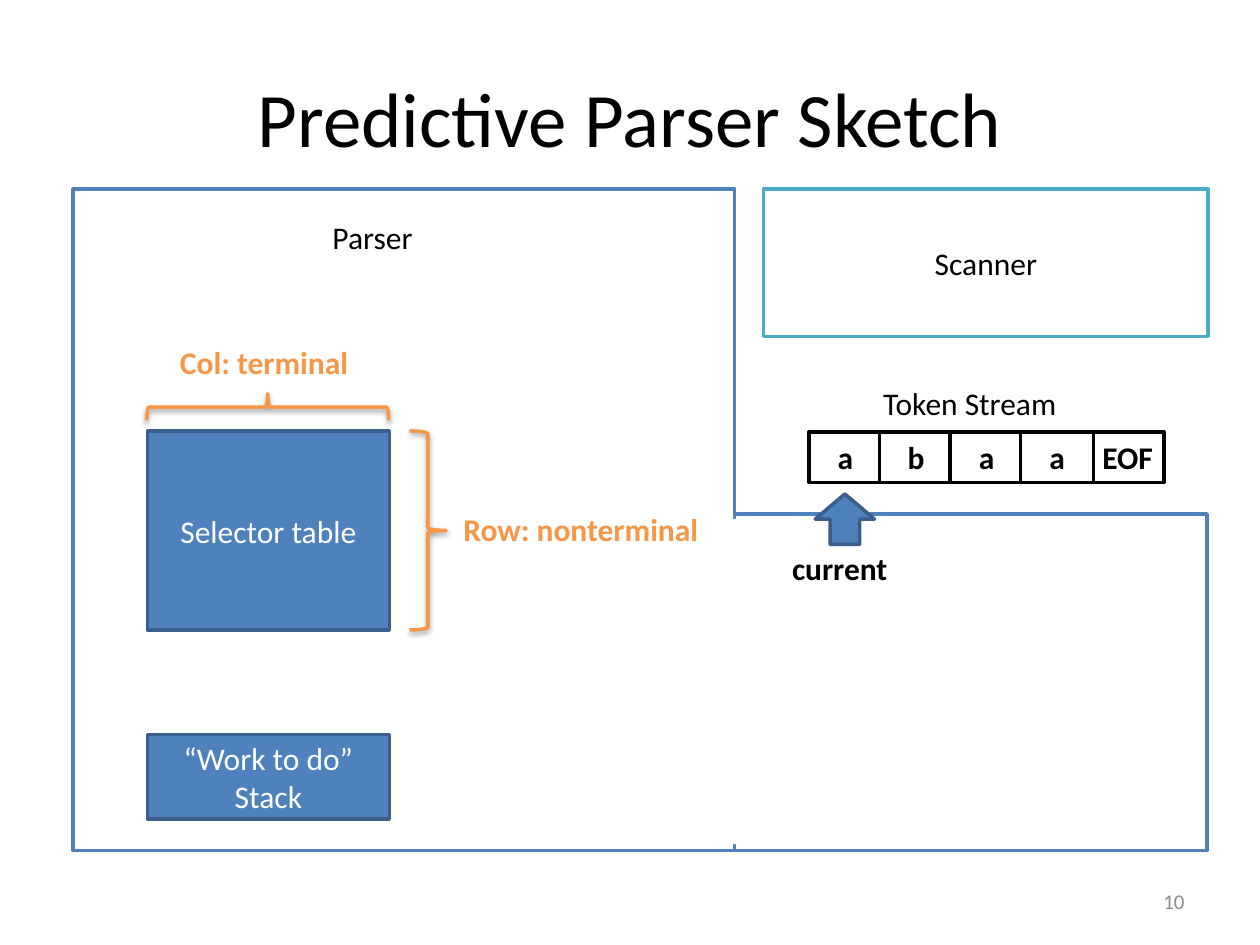
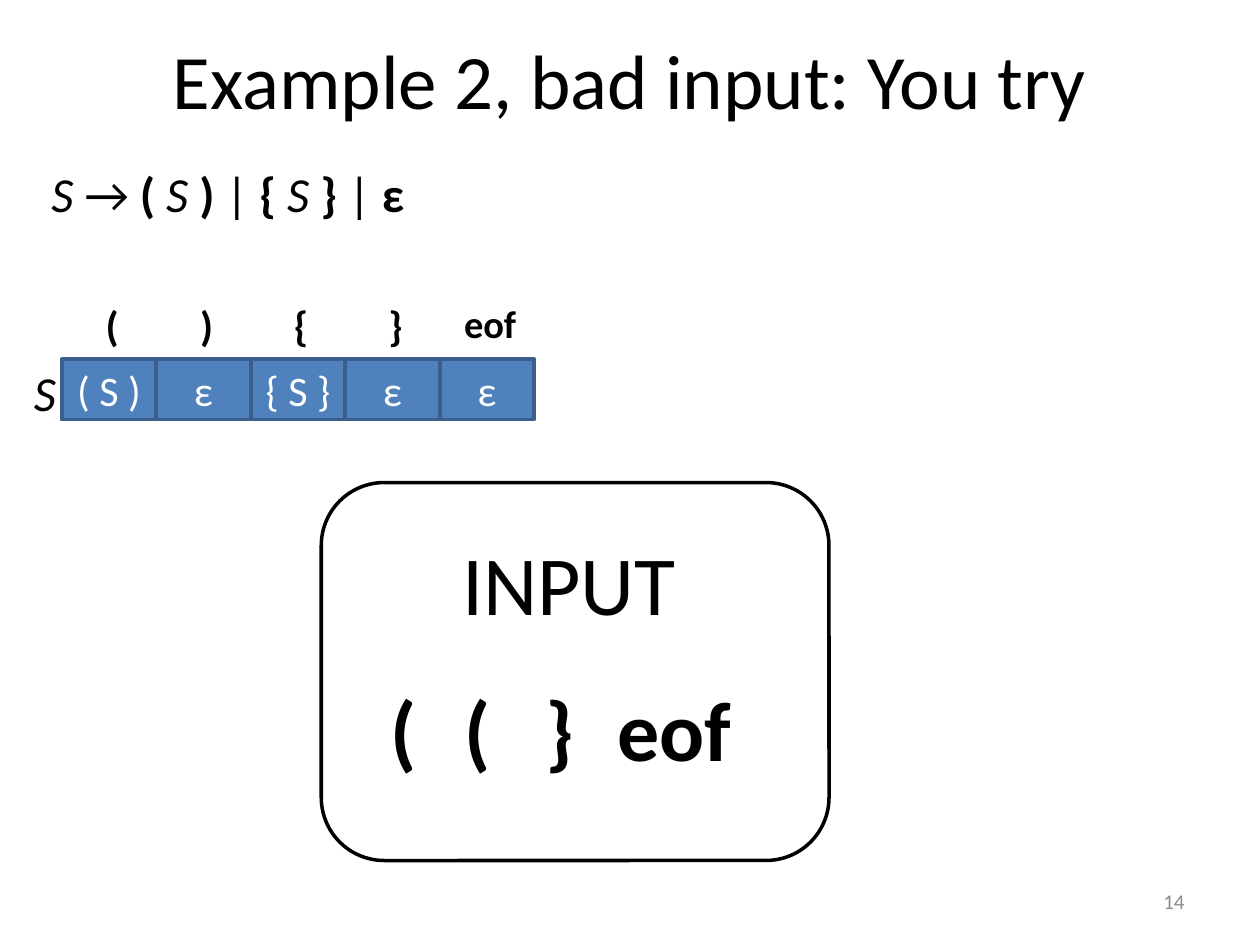
from dataclasses import dataclass
from typing import NamedTuple, Optional

from lxml import etree
from pptx import Presentation
from pptx import util as u
from pptx.dml.color import RGBColor
from pptx.enum import shapes, text
from pptx.oxml import ns

SHAPE = shapes.MSO_SHAPE
ALIGN = text.PP_ALIGN
ANCHOR = text.MSO_ANCHOR


# Theme shared by both slides
@dataclass(frozen=True)
class Theme:
    font: str = "Calibri"
    black: str = "000000"
    white: str = "FFFFFF"
    grey: str = "8C8C8C"
    blue: str = "4F81BD"
    navy: str = "3A5F8C"
    teal: str = "4BACC6"
    orange: str = "F79646"
    title: int = 44
    input: int = 48
    grammar: int = 28
    cell: int = 24
    eof: int = 22
    body: int = 18
    footer: int = 12
    line: int = 2


T = Theme()


class Box(NamedTuple):
    left: float
    top: float
    width: float
    height: float


class Look(NamedTuple):
    fill: Optional[str]
    line: Optional[str]


class Type(NamedTuple):
    size: int = T.body
    color: str = T.black
    bold: bool = False
    italic: bool = False
    align: ALIGN = ALIGN.CENTER
    anchor: ANCHOR = ANCHOR.MIDDLE
    wrap: bool = True
    inset: float = 0.1


class Label(NamedTuple):
    box: Box
    words: str
    type: Type


SOLID = Look(T.blue, T.navy)
OUTLINE = Look(T.white, T.blue)
BLACK_OUTLINE = Look(T.white, T.black)
BRACE = Look(None, T.orange)

TITLE = Type(T.title)
FOOTER = Type(T.footer, T.grey, align=ALIGN.RIGHT)
ON_BLUE = Type(color=T.white)
NOTE = Type(align=ALIGN.LEFT, anchor=ANCHOR.TOP)
AXIS = NOTE._replace(color=T.orange, bold=True, wrap=False)
GRAMMAR = NOTE._replace(size=T.grammar, wrap=False)
INPUT = NOTE._replace(size=T.input, bold=True, wrap=False)


# Drawing helpers
def write(s, words: str, t: Type) -> None:
    tf = s.text_frame
    tf.word_wrap = t.wrap
    tf.vertical_anchor = t.anchor
    tf.margin_left = tf.margin_right = u.Inches(t.inset)
    tf.margin_top = tf.margin_bottom = u.Inches(0.05)
    tf.text = words
    for p in tf.paragraphs:
        p.alignment = t.align
        p.font.name, p.font.size = T.font, u.Pt(t.size)
        p.font.bold, p.font.italic = t.bold, t.italic
        p.font.color.rgb = RGBColor.from_string(t.color)


def add_label(sp, label: Label):
    s = sp.add_textbox(*map(u.Inches, label.box))
    write(s, label.words, label.type)
    return s


def add_box(sp, box: Box, look: Look, words: str = "", t: Type = ON_BLUE,
            kind: SHAPE = SHAPE.RECTANGLE, rotation: float = 0):
    s = sp.add_shape(kind, *map(u.Inches, box))
    s.shadow.inherit = False
    s.rotation = rotation
    if look.fill:
        s.fill.solid()
        s.fill.fore_color.rgb = RGBColor.from_string(look.fill)
    else:
        s.fill.background()
    if look.line:
        s.line.color.rgb = RGBColor.from_string(look.line)
        s.line.width = u.Pt(T.line)
    else:
        s.line.fill.background()
    if words:
        write(s, words, t)
    return s


def add_brace(sp, box: Box, rotation: float = 0) -> None:
    s = add_box(sp, box, BRACE, kind=SHAPE.RIGHT_BRACE, rotation=rotation)
    effects = s.element.spPr.find(ns.qn("a:effectLst"))
    shadow = etree.SubElement(effects, ns.qn("a:outerShdw"), blurRad="40000",
                              dist="20000", dir="5400000", rotWithShape="0")
    color = etree.SubElement(shadow, ns.qn("a:srgbClr"), val=T.black)
    etree.SubElement(color, ns.qn("a:alpha"), val="38000")


def add_slide(prs, title: str, number: int, title_top: float):
    sp = prs.slides.add_slide(prs.slide_layouts[6]).shapes
    add_label(sp, Label(Box(0.5, title_top, 9, 1.25), title, TITLE))
    add_label(sp, Label(Box(7.17, 6.95, 2.33, 0.4), str(number), FOOTER))
    return sp


def build_sketch(prs) -> None:
    sp = add_slide(prs, "Predictive Parser Sketch", 10, 0.3)

    # L-shaped parser area, its inner edge covered, and the scanner
    add_box(sp, Box(5.66, 4.08, 3.92, 2.67), OUTLINE)
    add_box(sp, Box(0.58, 1.5, 5.25, 5.25), OUTLINE)
    add_box(sp, Box(5.66, 4.12, 0.4, 2.58), Look(T.white, None))
    add_box(sp, Box(6.06, 1.5, 3.53, 1.17), Look(T.white, T.teal), "Scanner", Type())

    # Parser parts
    add_box(sp, Box(1.17, 3.42, 1.92, 1.58), SOLID, "Selector table")
    add_box(sp, Box(1.17, 5.83, 1.92, 0.67), SOLID, "“Work to do”\nStack")
    add_brace(sp, Box(3.25, 3.42, 0.29, 1.58))
    add_brace(sp, Box(2.02, 2.27, 0.21, 1.92), rotation=270)

    # Token stream; the last cell lies behind its neighbour
    tokens = ["a", "b", "a", "a", "EOF"]
    token_type = Type(bold=True, inset=0.05)
    for i in (4, 0, 1, 2, 3):
        add_box(sp, Box(6.42 + 0.56 * i, 3.43, 0.58, 0.4), BLACK_OUTLINE,
                tokens[i], token_type)
    add_box(sp, Box(6.47, 3.92, 0.47, 0.4), SOLID, kind=SHAPE.DOWN_ARROW, rotation=180)

    for label in (
        Label(Box(2.54, 1.68, 1.71, 0.4), "Parser", NOTE),
        Label(Box(1.33, 2.67, 1.55, 0.4), "Col: terminal", AXIS),
        Label(Box(3.58, 4, 2.1, 0.4), "Row: nonterminal", AXIS),
        Label(Box(6.91, 3, 1.62, 0.4), "Token Stream", NOTE._replace(wrap=False)),
        Label(Box(6.06, 4.31, 1.21, 0.4), "current", Type(bold=True)),
    ):
        add_label(sp, label)


def build_example(prs) -> None:
    sp = add_slide(prs, "Example 2, bad input: You try", 14, 0)

    # Grammar: nonterminals italic, terminals bold
    s = add_label(sp, Label(Box(0.31, 1.25, 3.06, 0.57), "", GRAMMAR))
    p = s.text_frame.paragraphs[0]
    for words, bold, italic in (
        ("S", False, True), (" → ", False, False),
        ("( ", True, False), ("S ", False, True), (")", True, False),
        (" | ", False, False),
        ("{ ", True, False), ("S ", False, True), ("}", True, False),
        (" | ", False, False), ("ε", True, False),
    ):
        r = p.add_run()
        r.text, r.font.bold, r.font.italic = words, bold, italic

    # Selector table
    columns = [("(", "( S )"), (")", "ε"), ("{", "{ S }"), ("}", "ε"), ("eof", "ε")]
    for i, (terminal, production) in enumerate(columns):
        left = 0.49 + 0.75 * i
        add_box(sp, Box(left, 2.85, 0.75, 0.48), SOLID, production,
                ON_BLUE._replace(size=T.cell))
        size = T.eof if terminal == "eof" else T.cell
        add_label(sp, Label(Box(left + 0.08, 2.33, 0.64, 0.5), terminal,
                            Type(size, bold=True, anchor=ANCHOR.TOP, wrap=False)))
    add_label(sp, Label(Box(0.17, 2.83, 0.41, 0.57), "S", GRAMMAR._replace(italic=True)))

    # Input panel
    add_box(sp, Box(2.55, 3.83, 4.03, 3), BLACK_OUTLINE, kind=SHAPE.ROUNDED_RECTANGLE)
    add_label(sp, Label(Box(3.57, 4.17, 2.11, 0.91), "INPUT",
                        INPUT._replace(bold=False, wrap=True)))
    for left, width, token in ((3, 0.41, "("), (3.59, 0.41, "("),
                               (4.23, 0.43, "}"), (4.8, 1.13, "eof")):
        add_label(sp, Label(Box(left, 5.33, width, 0.91), token, INPUT))


def main() -> None:
    prs = Presentation()
    prs.slide_width, prs.slide_height = u.Inches(10), u.Inches(7.5)
    build_sketch(prs)
    build_example(prs)
    prs.save("out.pptx")


if __name__ == "__main__":
    main()
